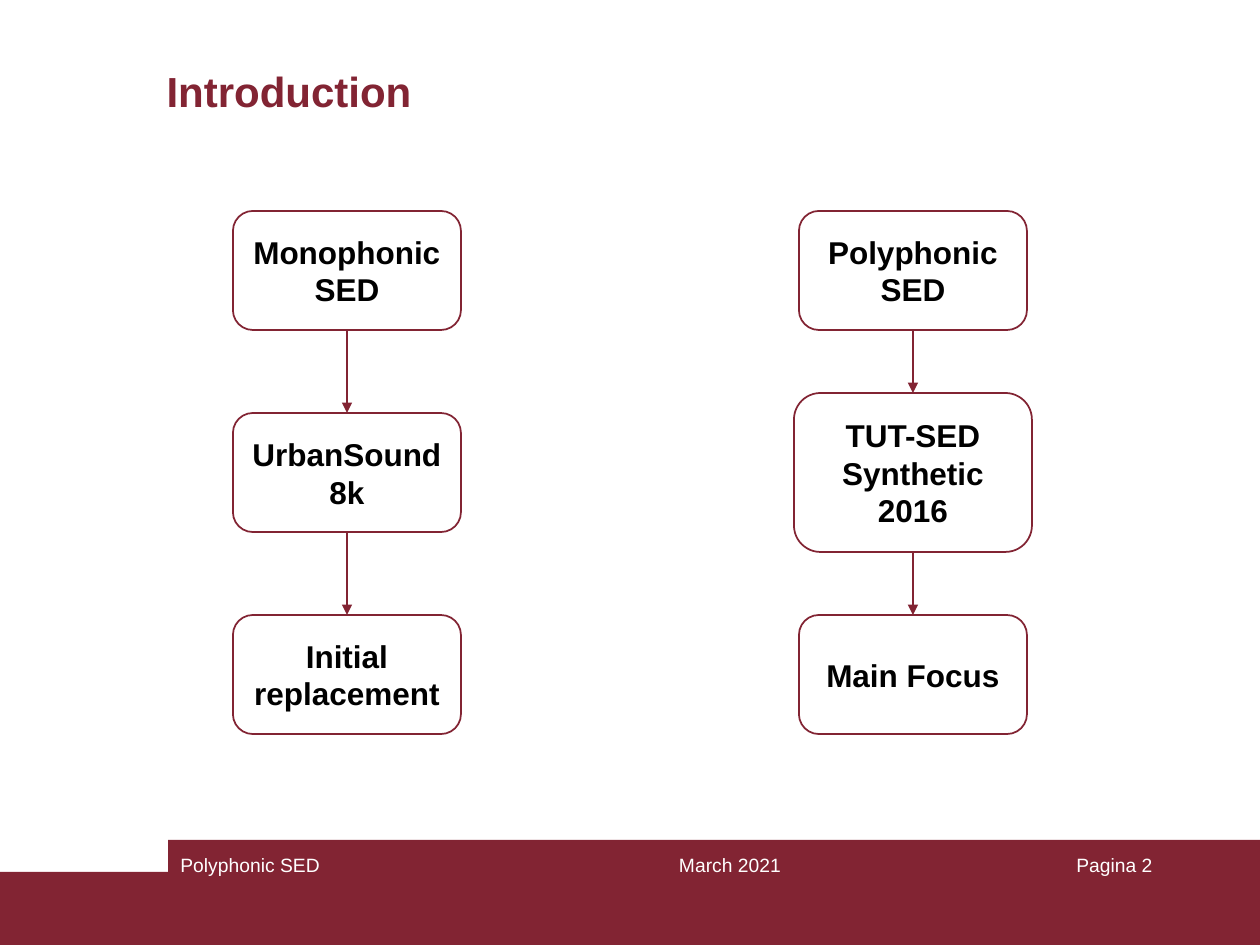
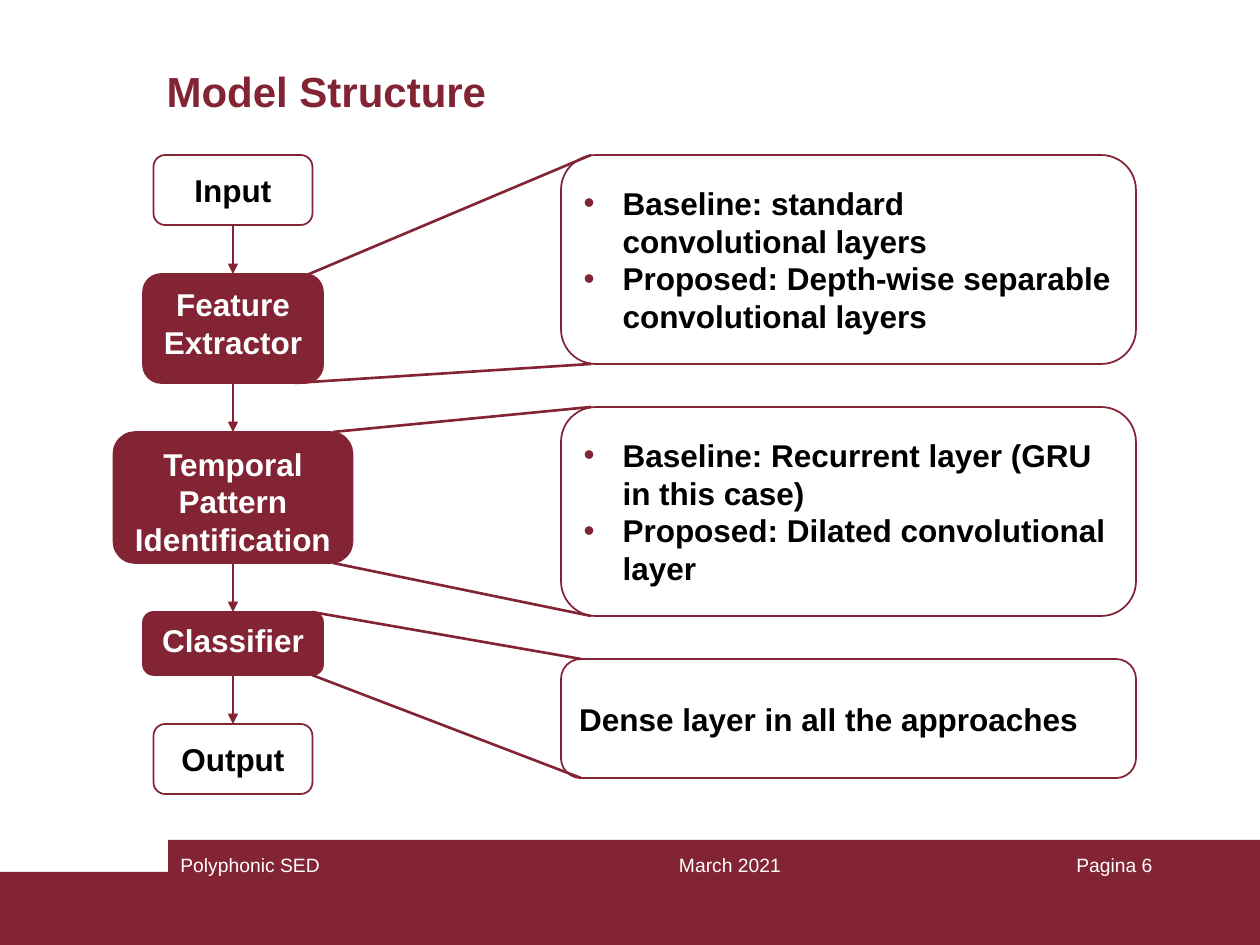
from lxml import etree
from pptx import Presentation
from pptx import util as u
from pptx.dml.color import RGBColor
from pptx.enum import shapes, text
from pptx.oxml import ns

MAROON = RGBColor(0x82, 0x24, 0x33)
WHITE = RGBColor(0xFF, 0xFF, 0xFF)
BLACK = RGBColor(0x00, 0x00, 0x00)
FONT = "Arial"
LEFT, CENTER, RIGHT = text.PP_ALIGN.LEFT, text.PP_ALIGN.CENTER, text.PP_ALIGN.RIGHT
EMU_PER_PX = 914400 / 126
BULLET_INDENT = round(39 * EMU_PER_PX)


def add_box(slide, kind, bounds, lines, fill=WHITE, color=BLACK, size=18, bold=True,
            align=CENTER, anchor=text.MSO_ANCHOR.MIDDLE):
    """Add a shape, or a plain text box when kind is None; several lines become bullets."""
    bounds = [u.Emu(round(px * EMU_PER_PX)) for px in bounds]
    if kind is None:
        shape = slide.shapes.add_textbox(*bounds)
    else:
        shape = slide.shapes.add_shape(kind, *bounds)
        shape.shadow.inherit = False
        shape.fill.solid()
        shape.fill.fore_color.rgb = fill
        shape.line.color.rgb = MAROON
        shape.line.width = u.Pt(1)
    frame = shape.text_frame
    frame.word_wrap = True
    frame.vertical_anchor = anchor
    frame.text = "\n".join(lines)
    for paragraph in frame.paragraphs:
        paragraph.alignment = align
        if len(lines) > 1:
            properties = paragraph._p.get_or_add_pPr()
            properties.set("marL", str(BULLET_INDENT))
            properties.set("indent", str(-BULLET_INDENT))
            bullet_color = etree.SubElement(properties, ns.qn("a:buClr"))
            etree.SubElement(bullet_color, ns.qn("a:srgbClr")).set("val", str(MAROON))
            etree.SubElement(properties, ns.qn("a:buFont")).set("typeface", FONT)
            etree.SubElement(properties, ns.qn("a:buChar")).set("char", "•")
        for run in paragraph.runs:
            run.font.name = FONT
            run.font.size = u.Pt(size)
            run.font.bold = bold
            run.font.color.rgb = color
    return shape


def add_line(slide, *ends, arrow=False):
    ends = [u.Emu(round(px * EMU_PER_PX)) for px in ends]
    connector = slide.shapes.add_connector(shapes.MSO_CONNECTOR.STRAIGHT, *ends)
    connector.line.color.rgb = MAROON
    connector.line.width = u.Pt(1.5)
    if arrow:
        line = connector.line._get_or_add_ln()
        etree.SubElement(line, ns.qn("a:tailEnd")).set("type", "triangle")
    etree.SubElement(connector._element.spPr, ns.qn("a:effectLst"))


presentation = Presentation()
presentation.slide_width = u.Inches(10)
presentation.slide_height = u.Inches(7.5)
RECTANGLE = shapes.MSO_SHAPE.RECTANGLE
ROUNDED = shapes.MSO_SHAPE.ROUNDED_RECTANGLE

# Flow columns of each slide: centre, top, gap, then (label, width, height, filled)
introduction_flows = [
    (347, 211, 83, [("Monophonic SED", 228, 119, False),
                    ("UrbanSound8k", 228, 119, False),
                    ("Initial replacement", 228, 119, False)]),
    (913, 211, 63, [("Polyphonic SED", 228, 119, False),
                    ("TUT-SED Synthetic 2016", 238, 159, False),
                    ("Main Focus", 228, 119, False)]),
]
model_flows = [
    (233, 155, 49, [("Input", 159, 70, False),
                    ("Feature Extractor", 180, 109, True),
                    ("Temporal Pattern Identification", 239, 131, True),
                    ("Classifier", 180, 63, True),
                    ("Output", 159, 70, False)]),
]

# Callouts: stage, x and top inset on the stage, x on the callout, height, lines
CALLOUT_LEFT, CALLOUT_TOP, CALLOUT_WIDTH, CALLOUT_GAP = 561, 155, 575, 43
model_callouts = [
    ("Feature Extractor", 295, 6, 591, 209,
     ["Baseline: standard convolutional layers",
      "Proposed: Depth-wise separable convolutional layers"]),
    ("Temporal Pattern Identification", 333, 0, 591, 209,
     ["Baseline: Recurrent layer (GRU in this case)",
      "Proposed: Dilated convolutional layer"]),
    ("Classifier", 312, 0, 581, 119, ["Dense layer in all the approaches"]),
]

for title, page, flows, callouts in [
    ("Introduction", 2, introduction_flows, []),
    ("Model Structure", 6, model_flows, model_callouts),
]:
    slide = presentation.slides.add_slide(presentation.slide_layouts[5])

    # Bands and footers
    for band in [(0, 872, 1260, 73), (168, 840, 1092, 105)]:
        add_box(slide, RECTANGLE, band, [""], fill=MAROON).line.fill.background()
    for footer, left, width, align in [
        ("March 2021", 599, 262, CENTER),
        ("Polyphonic SED", 168, 399, LEFT),
        (f"Pagina {page}", 903, 262, RIGHT),
    ]:
        add_box(slide, None, (left, 847, width, 63), [footer], color=WHITE, size=11,
                bold=False, align=align, anchor=text.MSO_ANCHOR.TOP)

    # Title
    heading = slide.shapes.title
    heading.left, heading.top, heading.width, heading.height = [
        u.Emu(round(px * EMU_PER_PX)) for px in (154, 55, 1022, 71)]
    heading.text_frame.text = title
    heading.text_frame.vertical_anchor = text.MSO_ANCHOR.MIDDLE
    paragraph = heading.text_frame.paragraphs[0]
    paragraph.alignment = LEFT
    font = paragraph.runs[0].font
    font.name, font.size, font.bold = FONT, u.Pt(24), True
    font.color.rgb = MAROON

    # Flow columns with arrows between the boxes
    stage_edges = {}
    for center, top, gap, stages in flows:
        for index, (label, width, height, filled) in enumerate(stages):
            add_box(slide, ROUNDED, (center - width / 2, top, width, height), [label],
                    fill=MAROON if filled else WHITE, color=WHITE if filled else BLACK,
                    anchor=text.MSO_ANCHOR.TOP if filled else text.MSO_ANCHOR.MIDDLE)
            if index:
                add_line(slide, center, top - gap, center, top, arrow=True)
            stage_edges[label] = top, top + height
            top += height + gap

    # Callouts joined to their stages
    top = CALLOUT_TOP
    for stage, stage_x, inset, callout_x, height, lines in callouts:
        add_box(slide, ROUNDED, (CALLOUT_LEFT, top, CALLOUT_WIDTH, height), lines, align=LEFT)
        stage_top, stage_bottom = stage_edges[stage]
        add_line(slide, stage_x, stage_top + inset, callout_x, top)
        add_line(slide, stage_x, stage_bottom, callout_x, top + height)
        top += height + CALLOUT_GAP

presentation.save("out.pptx")
